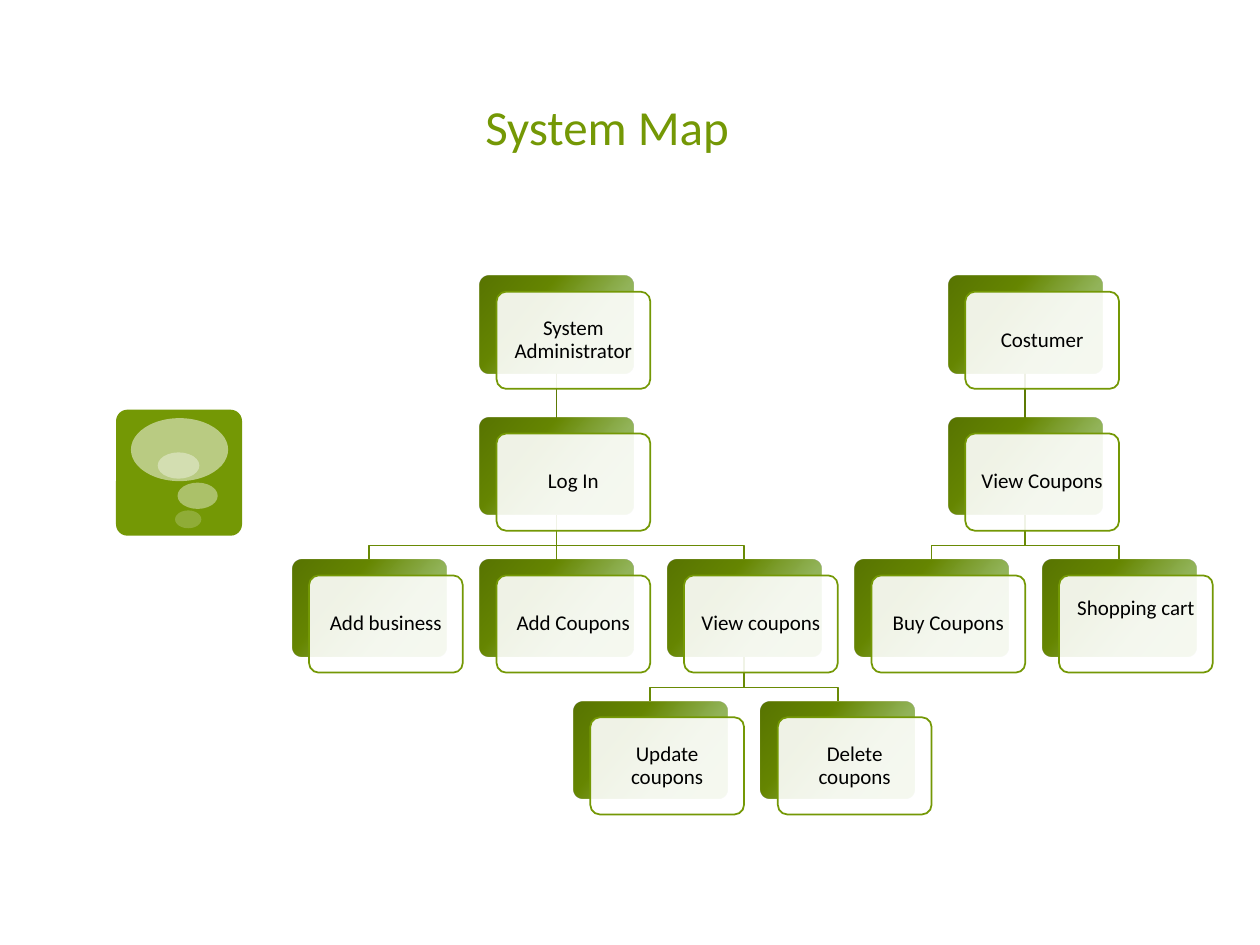
from dataclasses import dataclass
from typing import Optional

from lxml.etree import SubElement
from pptx import Presentation
from pptx.dml.color import RGBColor
from pptx.enum.shapes import MSO_CONNECTOR as Connector, MSO_SHAPE as Preset
from pptx.enum.text import MSO_ANCHOR as Anchor, PP_ALIGN as Align
from pptx.oxml import parse_xml
from pptx.oxml.ns import nsdecls, qn
from pptx.shapes.autoshape import Shape
from pptx.shapes.shapetree import SlideShapes
from pptx.util import Cm, Pt

GREEN = RGBColor(0x74, 0x98, 0x05)
TRUNK_GREEN = RGBColor(0x5D, 0x7A, 0x04)
BRANCH_GREEN = RGBColor(0x69, 0x8A, 0x05)
WHITE = RGBColor(0xFF, 0xFF, 0xFF)
BLACK = RGBColor(0, 0, 0)
GRADIENT = (
    (0, RGBColor(0x8F, 0xB8, 0x4C), 85),
    (33, RGBColor(0x8E, 0xB1, 0x53), 95),
    (67, RGBColor(0x66, 0x86, 0x00), 100),
    (100, RGBColor(0x58, 0x74, 0x00), 100),
)
GRADIENT_ANGLE = 220
FONT = "Calibri"

MAP_LEFT, MAP_TOP = 5.89, 5.56
COLUMN_STEP, ROW_STEP = 3.78, 2.86
CARD_WIDTH, CARD_HEIGHT = 3.1, 1.96
CARD_SHIFT_X, CARD_SHIFT_Y = 0.34, 0.32
ELBOW_DROP = 0.62
MARGIN = 0.18


@dataclass(frozen=True)
class Node:
    label: str
    column: float
    row: int
    parent: Optional["Node"] = None
    bottom_margin: float = MARGIN

    @property
    def left(self) -> float:
        return MAP_LEFT + self.column * COLUMN_STEP

    @property
    def top(self) -> float:
        return MAP_TOP + self.row * ROW_STEP

    @property
    def center(self) -> float:
        return self.left + CARD_WIDTH / 2


@dataclass(frozen=True)
class Bubble:
    left: float
    top: float
    width: float
    height: float
    opacity: int


ADMINISTRATOR = Node("System Administrator", 1, 0)
LOG_IN = Node("Log In", 1, 1, ADMINISTRATOR)
MANAGE = Node("View coupons", 2, 2, LOG_IN)
CUSTOMER = Node("Costumer", 3.5, 0)
BROWSE = Node("View Coupons", 3.5, 1, CUSTOMER)
NODES = (
    ADMINISTRATOR,
    LOG_IN,
    Node("Add business", 0, 2, LOG_IN),
    Node("Add Coupons", 1, 2, LOG_IN),
    MANAGE,
    Node("Update coupons", 1.5, 3, MANAGE),
    Node("Delete coupons", 2.5, 3, MANAGE),
    CUSTOMER,
    BROWSE,
    Node("Buy Coupons", 3, 2, BROWSE),
    Node("Shopping cart", 4, 2, BROWSE, 0.79),
)
BUBBLES = (
    Bubble(2.64, 8.43, 1.96, 1.27, 50),
    Bubble(3.58, 9.73, 0.81, 0.53, 40),
    Bubble(3.53, 10.29, 0.53, 0.36, 20),
    Bubble(3.18, 9.12, 0.84, 0.53, 38),
)


def add_filled(shapes: SlideShapes, preset: Preset, left: float, top: float,
               width: float, height: float, color: RGBColor,
               opacity: int = 100) -> Shape:
    shape = shapes.add_shape(preset, Cm(left), Cm(top), Cm(width), Cm(height))
    shape.shadow.inherit = False
    shape.fill.solid()
    shape.fill.fore_color.rgb = color
    shape.line.fill.background()
    if opacity < 100:
        tint = shape._element.spPr.find(qn("a:solidFill")).find(qn("a:srgbClr"))
        SubElement(tint, qn("a:alpha"), val=str(opacity * 1000))
    return shape


def apply_gradient(shape: Shape) -> None:
    stops = "".join(
        f'<a:gs pos="{position * 1000}"><a:srgbClr val="{color}">'
        f'<a:alpha val="{opacity * 1000}"/></a:srgbClr></a:gs>'
        for position, color, opacity in GRADIENT
    )
    gradient = parse_xml(
        f'<a:gradFill {nsdecls("a")} rotWithShape="1"><a:gsLst>{stops}</a:gsLst>'
        f'<a:lin ang="{GRADIENT_ANGLE * 60000}" scaled="0"/></a:gradFill>'
    )
    properties = shape._element.spPr
    properties.replace(properties.find(qn("a:solidFill")), gradient)


def add_link(shapes: SlideShapes, parent: Node, child: Node) -> None:
    start_y = parent.top + CARD_HEIGHT
    if parent.column == child.column:
        link = shapes.add_connector(Connector.STRAIGHT, Cm(parent.center), Cm(start_y),
                                    Cm(child.center), Cm(child.top))
    else:
        elbow_y = start_y + ELBOW_DROP
        builder = shapes.build_freeform(Cm(parent.center), Cm(start_y))
        builder.add_line_segments(
            [(Cm(parent.center), Cm(elbow_y)), (Cm(child.center), Cm(elbow_y)),
             (Cm(child.center), Cm(child.top))],
            close=False,
        )
        link = builder.convert_to_shape()
        link.fill.background()
    link.line.color.rgb = BRANCH_GREEN if parent.parent else TRUNK_GREEN
    link.line.width = Pt(1)
    SubElement(link._element.spPr, qn("a:effectLst"))


def add_node(shapes: SlideShapes, node: Node) -> None:
    back = add_filled(shapes, Preset.ROUNDED_RECTANGLE, node.left, node.top,
                      CARD_WIDTH, CARD_HEIGHT, GREEN)
    apply_gradient(back)
    card = add_filled(shapes, Preset.ROUNDED_RECTANGLE, node.left + CARD_SHIFT_X,
                      node.top + CARD_SHIFT_Y, CARD_WIDTH, CARD_HEIGHT, WHITE, 90)
    back.adjustments[0] = card.adjustments[0] = 0.1
    card.line.color.rgb = GREEN
    card.line.width = Pt(1)
    frame = card.text_frame
    frame.word_wrap = True
    frame.vertical_anchor = Anchor.MIDDLE
    frame.margin_left = frame.margin_right = frame.margin_top = Cm(MARGIN)
    frame.margin_bottom = Cm(node.bottom_margin)
    para = frame.paragraphs[0]
    para.text = node.label
    para.alignment = Align.CENTER
    para.line_spacing = 0.9
    para.font.name, para.font.size = FONT, Pt(12)
    para.font.color.rgb = BLACK


deck = Presentation()
deck.slide_width, deck.slide_height = Cm(25.4), Cm(19.05)
page = deck.slides.add_slide(deck.slide_layouts[5])

badge = add_filled(page.shapes, Preset.ROUNDED_RECTANGLE, 2.34, 8.26, 2.54, 2.54, GREEN)
badge.adjustments[0] = 0.09
for bubble in BUBBLES:
    add_filled(page.shapes, Preset.OVAL, bubble.left, bubble.top, bubble.width,
               bubble.height, WHITE, bubble.opacity)

title = page.shapes.title
title.left, title.top, title.width, title.height = Cm(9.53), Cm(1.9), Cm(13.74), Cm(2.47)
title.text_frame.vertical_anchor = Anchor.BOTTOM
title.text_frame.margin_bottom = Cm(1.24)
heading = title.text_frame.paragraphs[0]
heading.text = "System Map"
heading.alignment = Align.LEFT
heading.font.name, heading.font.size = FONT, Pt(28)
heading.font.color.rgb = GREEN

for node in NODES:
    if node.parent:
        add_link(page.shapes, node.parent, node)
for node in NODES:
    add_node(page.shapes, node)

deck.save("out.pptx")
